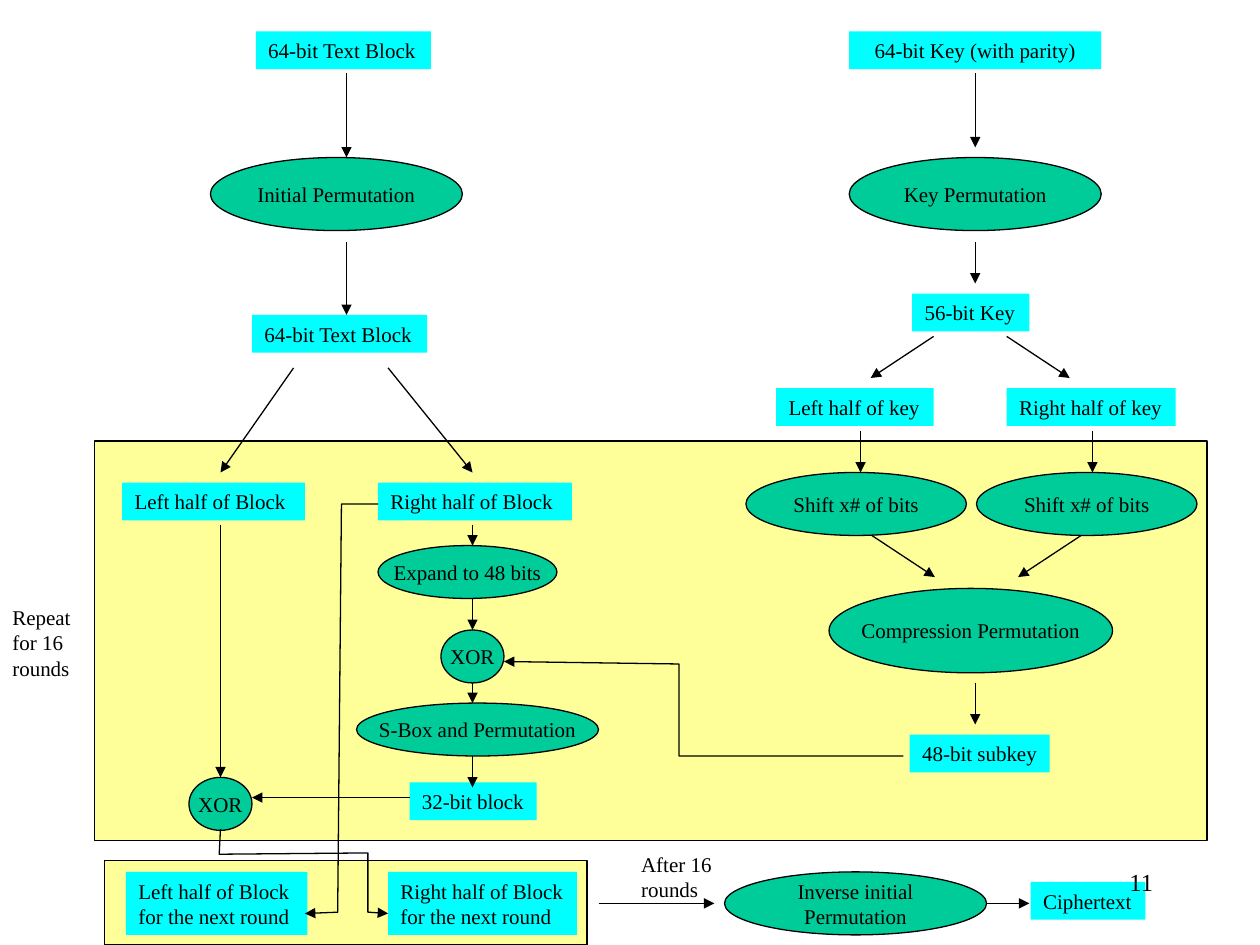
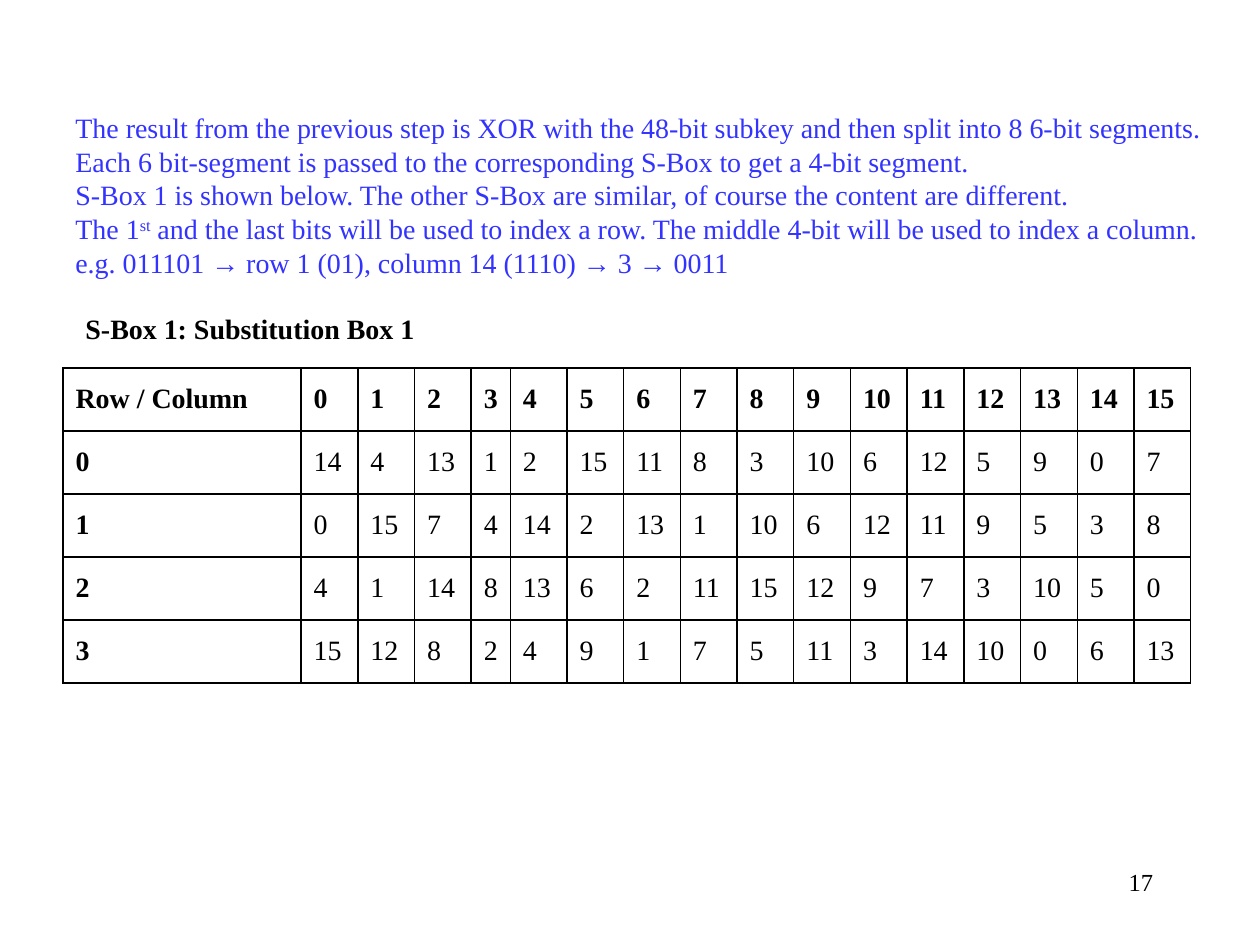
from dataclasses import dataclass

from lxml import etree
from pptx import Presentation
from pptx import util as u
from pptx.dml.color import RGBColor
from pptx.enum import shapes, text
from pptx.oxml.ns import qn

COLORS = {
    "ink": "000000",
    "band": "FFFF99",
    "data": "00FFFF",
    "step": "00CC99",
    "note": "3333FF",
}
FONT = "Times New Roman"
LINE_WIDTH = u.Pt(0.75)
LABEL_HEIGHT = 0.3
ALIGN = text.PP_ALIGN
ANCHOR = text.MSO_ANCHOR

NOTES = [
    "The result from the previous step is XOR with the 48-bit subkey and then split into 8 6-bit segments.",
    "Each 6 bit-segment is passed to the corresponding S-Box to get a 4-bit segment.",
    "S-Box 1 is shown below. The other S-Box are similar, of course the content are different.",
    "The 1^st^ and the last bits will be used to index a row. The middle 4-bit will be used to index a column.",
    "e.g. 011101 → row 1 (01), column 14 (1110) → 3 → 0011",
]
SBOX = [
    [14, 4, 13, 1, 2, 15, 11, 8, 3, 10, 6, 12, 5, 9, 0, 7],
    [0, 15, 7, 4, 14, 2, 13, 1, 10, 6, 12, 11, 9, 5, 3, 8],
    [4, 1, 14, 8, 13, 6, 2, 11, 15, 12, 9, 7, 3, 10, 5, 0],
    [15, 12, 8, 2, 4, 9, 1, 7, 5, 11, 3, 14, 10, 0, 6, 13],
]


def color(name):
    """Return the named palette colour."""
    return RGBColor.from_string(COLORS[name])


def write(frame, content, size=12, ink="ink", bold=False, align=ALIGN.LEFT,
          anchor=ANCHOR.TOP, wrap=False, grow=False):
    """Fill a text frame line by line; text between carets is superscript."""
    frame.word_wrap = wrap
    frame.vertical_anchor = anchor
    if grow:
        frame.auto_size = text.MSO_AUTO_SIZE.SHAPE_TO_FIT_TEXT
    for index, line in enumerate(content.split("\n")):
        para = frame.paragraphs[0] if index == 0 else frame.add_paragraph()
        para.alignment = align
        for order, part in enumerate(line.split("^")):
            span = para.add_run()
            span.text = part
            span.font.name = FONT
            span.font.size = u.Pt(size)
            span.font.bold = bold
            span.font.color.rgb = color(ink)
            if order % 2:
                span.font._element.set("baseline", "30000")


def draw_line(line, arrow=False):
    """Give an outline its colour and width, and an arrowhead if asked."""
    line.color.rgb = color("ink")
    line.width = LINE_WIDTH
    if arrow:
        etree.SubElement(line._get_or_add_ln(), qn("a:tailEnd"), type="triangle")


@dataclass
class Region:
    """A box on a page whose parts are placed from its top left corner."""

    page: object
    left: float
    top: float
    width: float
    height: float

    def point(self, x, y):
        """Turn a place in the region into a place on the page."""
        return u.Inches(self.left + x), u.Inches(self.top + y)

    def shape(self, kind, fill, x, y, width, height, outlined=True):
        """Add a filled preset shape."""
        shape = self.page.shapes.add_shape(
            kind, *self.point(x, y), u.Inches(width), u.Inches(height))
        shape.shadow.inherit = False
        shape.fill.solid()
        shape.fill.fore_color.rgb = color(fill)
        if outlined:
            draw_line(shape.line)
        else:
            shape.line.fill.background()
        return shape

    def band(self):
        """Fill the whole region with an outlined band."""
        self.shape(shapes.MSO_SHAPE.RECTANGLE, "band", 0, 0, self.width, self.height)

    def data(self, content, x, y, width, height=LABEL_HEIGHT, **style):
        """Add a data block."""
        shape = self.shape(shapes.MSO_SHAPE.RECTANGLE, "data", x, y, width, height, False)
        write(shape.text_frame, content, grow=True, **style)

    def step(self, content, x, y, width, height):
        """Add a processing step."""
        shape = self.shape(shapes.MSO_SHAPE.OVAL, "step", x, y, width, height)
        write(shape.text_frame, content, align=ALIGN.CENTER, anchor=ANCHOR.MIDDLE)

    def label(self, content, x, y, width, height, **style):
        """Add plain text."""
        box = self.page.shapes.add_textbox(
            *self.point(x, y), u.Inches(width), u.Inches(height))
        write(box.text_frame, content, **style)

    def arrow(self, x1, y1, x2, y2):
        """Add a straight arrow."""
        arrow = self.page.shapes.add_connector(
            shapes.MSO_CONNECTOR.STRAIGHT, *self.point(x1, y1), *self.point(x2, y2))
        draw_line(arrow.line, arrow=True)
        etree.SubElement(arrow._element.spPr, qn("a:effectLst"))

    def down(self, x, *spans):
        """Add vertical arrows on one axis."""
        for start, end in spans:
            self.arrow(x, start, x, end)

    def bent_arrow(self, *points):
        """Add an arrow that runs through the given points."""
        start, *rest = [self.point(x, y) for x, y in points]
        builder = self.page.shapes.build_freeform(*start)
        builder.add_line_segments(rest, close=False)
        route = builder.convert_to_shape()
        route.shadow.inherit = False
        route.fill.background()
        draw_line(route.line, arrow=True)


def next_round(region):
    """Draw the block halves handed to the next round."""
    region.band()
    region.data("Left half of Block\nfor the next round", 0.17, 0.09, 1.44, 0.5)
    region.data("Right half of Block\nfor the next round", 2.25, 0.09, 1.5, 0.5)


def cipher_round(region):
    """Draw one round on the block halves, with its routes out."""
    left_axis, right_axis = 1, 3
    region.band()
    region.data("Left half of Block", 0.22, 0.33, 1.45)
    region.data("Right half of Block", 2.25, 0.33, 1.54)
    region.step("Expand to 48 bits", 2.25, 0.83, 1.42, 0.42)
    region.step("XOR", right_axis - 0.25, 1.5, 0.5, 0.42)
    region.step("S-Box and Permutation", 2.08, 2.08, 1.92, 0.42)
    region.data("32-bit block", 2.5, 2.71, 1.01)
    region.step("XOR", left_axis - 0.25, 2.67, 0.5, 0.42)
    region.down(right_axis, (0.67, 0.83), (1.25, 1.5), (1.92, 2.08), (2.5, 2.75))
    region.down(left_axis, (0.67, 2.67))
    region.arrow(2.5, 2.83, 1.25, 2.83)
    region.bent_arrow((6.42, 2.5), (4.64, 2.5), (4.64, 1.77), (3.25, 1.75))
    region.bent_arrow((2.25, 0.5), (1.96, 0.5), (1.93, 3.74), (1.67, 3.75))
    region.bent_arrow((1, 3.08), (0.99, 3.28), (2.17, 3.27), (2.17, 3.74), (2.33, 3.75))
    region.label("Repeat\nfor 16\nrounds", -0.75, 1.25, 0.67, 0.7, grow=True)


def key_schedule(region):
    """Draw the path from the key to the subkey."""
    region.data("64-bit Key (with parity)", 0.82, 0, 2, align=ALIGN.CENTER, wrap=True)
    region.step("Key Permutation", 0.82, 1, 2, 0.58)
    region.data("56-bit Key", 1.32, 2.08, 0.93)
    region.data("Left half of key", 0.24, 2.83, 1.25)
    region.data("Right half of key", 2.07, 2.83, 1.34)
    for x in (0, 1.83):
        region.step("Shift x# of bits", x, 3.5, 1.75, 0.5)
    region.step("Compression Permutation", 0.66, 4.42, 2.25, 0.67)
    region.data("48-bit subkey", 1.3, 5.58, 1.11)
    region.down(1.82, (0.33, 0.92), (1.67, 2), (5.17, 5.5))
    for x in (0.91, 2.75):
        region.down(x, (3.17, 3.5))
    region.arrow(1.49, 2.42, 0.99, 2.75)
    region.arrow(2.07, 2.42, 2.57, 2.75)
    region.arrow(1, 4, 1.5, 4.33)
    region.arrow(2.66, 4, 2.16, 4.33)


def text_path(region):
    """Draw the path from the text block to its halves."""
    region.data("64-bit Text Block", 0.36, 0, 1.39)
    region.step("Initial Permutation", 0, 1, 2, 0.58)
    region.data("64-bit Text Block", 0.33, 2.25, 1.39)
    region.down(1.08, (0.33, 1), (1.67, 2.25))
    region.arrow(0.66, 2.67, 0.08, 3.5)
    region.arrow(1.41, 2.67, 2.08, 3.5)


def final_output(region):
    """Draw the path from the last round to the ciphertext."""
    region.arrow(0, 0.46, 0.92, 0.46)
    region.step("Inverse initial\nPermutation", 1, 0.21, 2.08, 0.5)
    region.arrow(3.08, 0.46, 3.42, 0.46)
    region.data("Ciphertext", 3.43, 0.29, 0.91)
    region.label("After 16\nrounds", 0.24, 0, 0.76, 0.5, grow=True)


def page_number(page, number):
    """Write the page number at the lower right."""
    region = Region(page, 7.17, 6.83, 2.08, 0.5)
    region.label(str(number), 0, 0, region.width, region.height,
                 size=14, align=ALIGN.RIGHT, wrap=True)


def border_cell(cell):
    """Rule all four sides of a cell and leave it unfilled."""
    properties = cell._tc.get_or_add_tcPr()
    for side in ("lnL", "lnR", "lnT", "lnB"):
        line = etree.SubElement(properties, qn(f"a:{side}"), w=str(u.Pt(1)))
        fill = etree.SubElement(line, qn("a:solidFill"))
        etree.SubElement(fill, qn("a:srgbClr"), val=COLORS["ink"])
    cell.fill.background()


def sbox_table(region):
    """Draw the substitution table with bold row and column heads."""
    header = ["Row / Column", *range(len(SBOX[0]))]
    rows = [header] + [[index, *values] for index, values in enumerate(SBOX)]
    table = region.page.shapes.add_table(
        len(rows), len(header), *region.point(0, 0),
        u.Inches(region.width), u.Inches(region.height)).table
    table.first_row = table.horz_banding = False
    special_widths = {0: 1.89, 4: 0.31}
    for index, column in enumerate(table.columns):
        column.width = u.Inches(special_widths.get(index, 0.45))
    for row_index, values in enumerate(rows):
        table.rows[row_index].height = u.Inches(region.height / len(rows))
        for column_index, value in enumerate(values):
            cell = table.cell(row_index, column_index)
            border_cell(cell)
            write(cell.text_frame, str(value), size=16, wrap=True,
                  bold=row_index == 0 or column_index == 0)
            cell.vertical_anchor = ANCHOR.MIDDLE


def cipher_page(page):
    """Build the flow chart of the cipher."""
    next_round(Region(page, 0.83, 6.83, 3.83, 0.67))
    cipher_round(Region(page, 0.75, 3.5, 8.83, 3.17))
    key_schedule(Region(page, 5.92, 0.25, 3.58, 5.88))
    text_path(Region(page, 1.67, 0.25, 2.08, 3.5))
    final_output(Region(page, 4.75, 6.71, 4.34, 0.71))
    page_number(page, 11)


def sbox_page(page):
    """Build the page that explains the substitution box."""
    region = Region(page, 0.5, 0.83, 9.19, 4.59)
    region.label("S-Box 1: Substitution Box 1", 0.08, 1.59, 2.88, 0.37,
                 size=16, bold=True, anchor=ANCHOR.MIDDLE, grow=True)
    sbox_table(Region(page, 0.5, 2.92, 8.92, 2.5))
    region.label("\n".join(NOTES), 0, 0, region.width, 1.44,
                 size=16, ink="note", grow=True)
    page_number(page, 17)


def main():
    """Build and save the deck."""
    deck = Presentation()
    deck.slide_width, deck.slide_height = u.Inches(10), u.Inches(7.5)
    for build in (cipher_page, sbox_page):
        build(deck.slides.add_slide(deck.slide_layouts[6]))
    deck.save("out.pptx")


if __name__ == "__main__":
    main()
